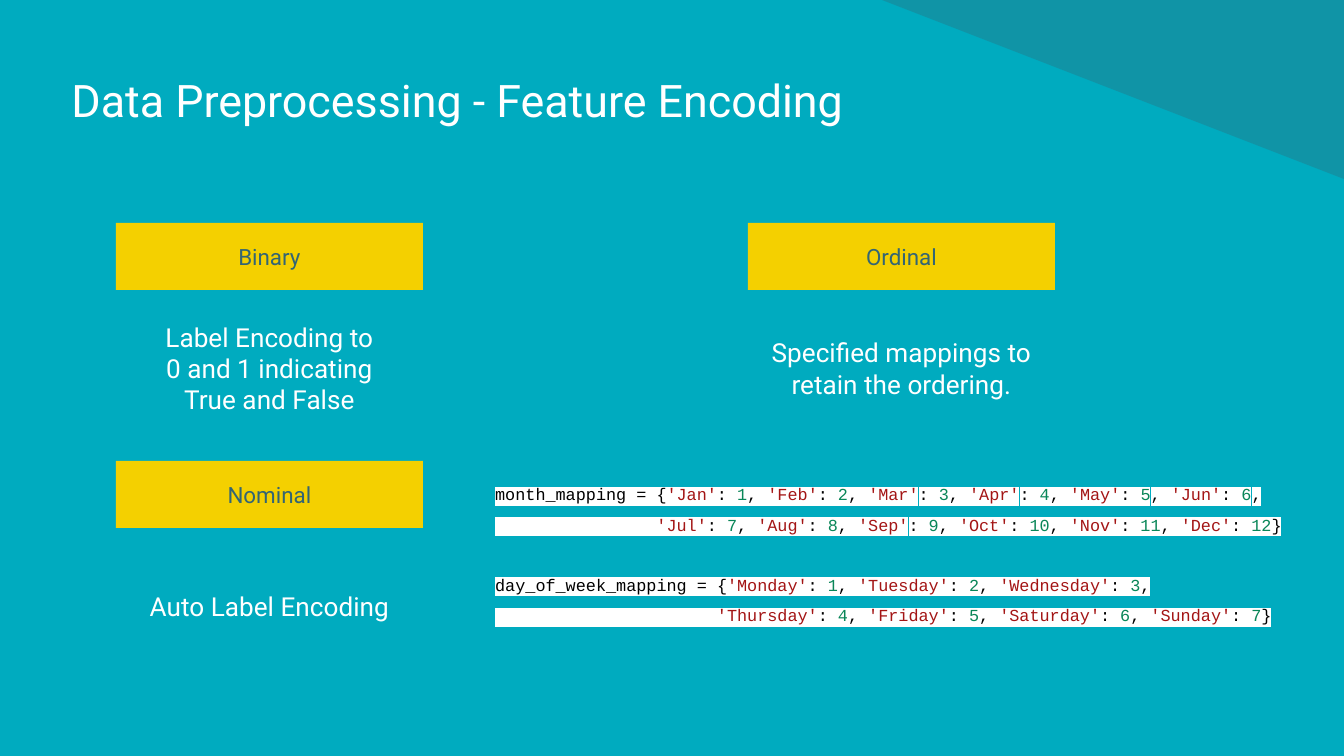
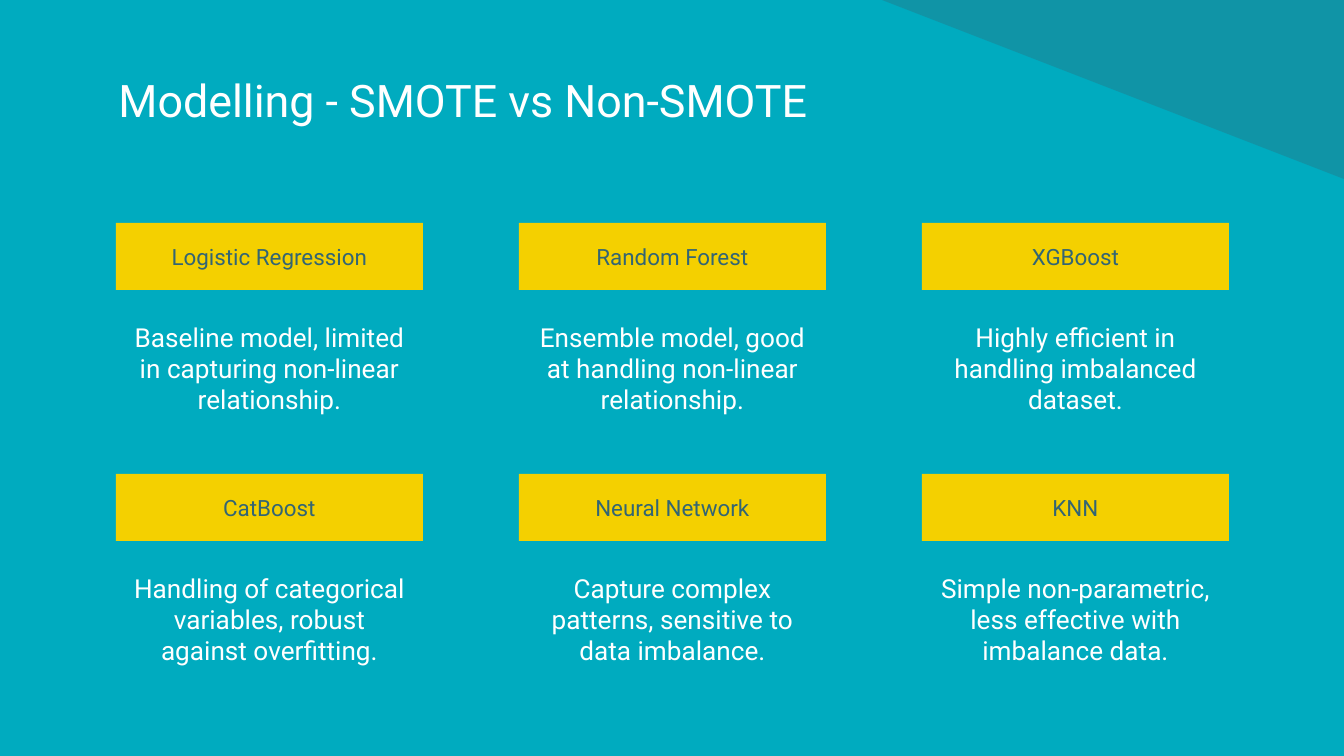
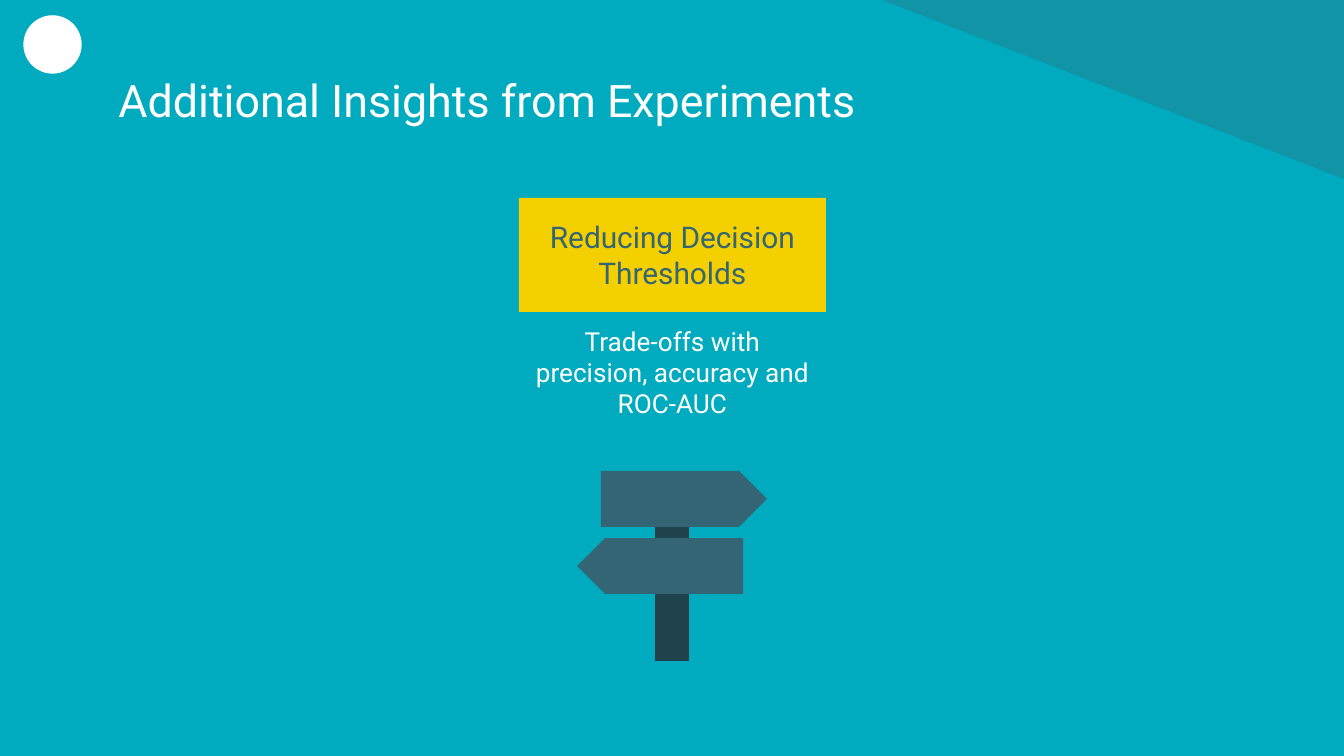
from dataclasses import dataclass

from lxml.etree import SubElement
from pptx import Presentation
from pptx.dml.color import RGBColor
from pptx.enum.shapes import MSO_SHAPE
from pptx.enum.text import MSO_ANCHOR, MSO_AUTO_SIZE, PP_ALIGN
from pptx.oxml.ns import qn
from pptx.util import Pt


@dataclass(frozen=True)
class Theme:
    font: str = "Roboto"
    code_font: str = "Courier New"
    title_size: int = 24
    lead_size: int = 16
    caption_size: int = 14
    band_size: int = 12
    code_size: int = 9
    teal: RGBColor = RGBColor.from_string("00ABBF")
    slate: RGBColor = RGBColor.from_string("336574")
    dark_slate: RGBColor = RGBColor.from_string("1F424C")
    yellow: RGBColor = RGBColor.from_string("F4D000")
    white: RGBColor = RGBColor.from_string("FFFFFF")
    code_plain: RGBColor = RGBColor.from_string("000000")
    code_string: RGBColor = RGBColor.from_string("A31515")
    code_number: RGBColor = RGBColor.from_string("098658")


theme = Theme()
PX = 914400 / 134.4  # EMU in one px
SLIDE_WIDTH, SLIDE_HEIGHT = 1344, 756

# Card grid: a yellow band with a caption centred below it
COLUMNS = range(116, 1000, 403)
MODEL_ROWS = (223, 474)
NOMINAL_ROW = 461
ORDINAL_LEFT = 748
CARD_WIDTH = 307
BAND_HEIGHT = 67
CAPTION_DROP = 100  # from the top of a band to the top of its caption
CAPTION_HEIGHT = 90


def add_box(shapes, box, color=None, kind=MSO_SHAPE.RECTANGLE):
    """Add a filled shape, or a text box where no colour is given."""
    place = [round(length * PX) for length in box]
    if color is None:
        return shapes.add_textbox(*place)
    shape = shapes.add_shape(kind, *place)
    shape.shadow.inherit = False
    shape.fill.solid()
    shape.fill.fore_color.rgb = color
    shape.line.fill.background()
    return shape


def set_text(shape, text, size, color, align=PP_ALIGN.CENTER):
    """Write vertically centred text, one paragraph per line."""
    frame = shape.text_frame
    frame.word_wrap = True
    frame.auto_size = MSO_AUTO_SIZE.NONE
    frame.vertical_anchor = MSO_ANCHOR.MIDDLE
    frame.text = text
    for paragraph in frame.paragraphs:
        paragraph.alignment = align
        paragraph.font.name = theme.font
        paragraph.font.size = Pt(size)
        paragraph.font.color.rgb = color


prs = Presentation()
prs.slide_width = round(SLIDE_WIDTH * PX)
prs.slide_height = round(SLIDE_HEIGHT * PX)
master = prs.slide_master
master.background.fill.solid()
master.background.fill.fore_color.rgb = theme.teal
title_only = prs.slide_layouts.get_by_name("Title Only")

# Slides and titles; each title has equal margins left and right
headings = [
    ("Data Preprocessing - Feature Encoding", 58),
    ("Modelling - SMOTE vs Non-SMOTE", 105),
    ("Additional Insights from Experiments", 105),
]
for heading, margin in headings:
    title = prs.slides.add_slide(title_only).shapes.title
    title.left, title.top = round(margin * PX), round(57 * PX)
    title.width = round((SLIDE_WIDTH - 2 * margin) * PX)
    title.height = round(85 * PX)
    set_text(title, heading, theme.title_size, theme.white, PP_ALIGN.LEFT)
encoding, modelling, insights = prs.slides

# Corner triangle, moved to the master so that every slide shows it
corner = add_box(encoding.shapes, (882, 0, SLIDE_WIDTH - 882, 179),
                 theme.slate, MSO_SHAPE.RIGHT_TRIANGLE)
corner.rotation = 180
corner_color = next(corner.element.iter(qn("a:srgbClr")))
SubElement(corner_color, qn("a:alpha"), val="32000")
corner.element.nvSpPr.cNvPr.set("id", "20")
master.shapes.element.append(corner.element)

# Encoding cards: left, top, feature type, treatment
encodings = [
    (COLUMNS[0], MODEL_ROWS[0], "Binary",
     "Label Encoding to\n0 and 1 indicating\nTrue and False"),
    (ORDINAL_LEFT, MODEL_ROWS[0], "Ordinal",
     "Specified mappings to retain the ordering."),
    (COLUMNS[0], NOMINAL_ROW, "Nominal", "Auto Label Encoding"),
]
cards = [(encoding, *card) for card in encodings]

# Model cards fill the grid row by row
models = [
    ("Logistic Regression",
     "Baseline model, limited in capturing non-linear relationship."),
    ("Random Forest",
     "Ensemble model, good at handling non-linear relationship."),
    ("XGBoost", "Highly efficient in handling imbalanced dataset."),
    ("CatBoost",
     "Handling of categorical variables, robust against overfitting."),
    ("Neural Network",
     "Capture complex patterns, sensitive to data imbalance."),
    ("KNN", "Simple non-parametric, less effective with imbalance data."),
]
for index, (model, remark) in enumerate(models):
    row, column = divmod(index, len(COLUMNS))
    cards.append((modelling, COLUMNS[column], MODEL_ROWS[row], model, remark))

for slide, left, top, name, remark in cards:
    band = add_box(slide.shapes, (left, top, CARD_WIDTH, BAND_HEIGHT),
                   theme.yellow)
    set_text(band, name, theme.band_size, theme.slate)
    caption = add_box(slide.shapes, (left, top + CAPTION_DROP,
                                     CARD_WIDTH, CAPTION_HEIGHT))
    set_text(caption, remark, theme.caption_size, theme.white)

# Ordinal mappings as code: opening, keys, value of the first key, ending
code_lines = [
    ("month_mapping = {", "Jan Feb Mar Apr May Jun", 1, ","),
    (" " * 16, "Jul Aug Sep Oct Nov Dec", 7, "}"),
    ("day_of_week_mapping = {", "Monday Tuesday Wednesday", 1, ","),
    (" " * 22, "Thursday Friday Saturday Sunday", 4, "}"),
]
mappings = add_box(encoding.shapes, (482, 461, 839, 169)).text_frame
mappings.word_wrap = True
mappings.margin_top = round(13 * PX)
mappings.text = "\n" * (len(code_lines) - 1)  # one paragraph per code line
mappings.paragraphs[2].space_before = Pt(16)  # gap between the two mappings

for line, (opening, keys, first, ending) in zip(mappings.paragraphs,
                                                code_lines):
    line.line_spacing = 1.5
    line.font.name = theme.code_font
    line.font.size = Pt(theme.code_size)

    tokens = [(opening, theme.code_plain)]
    for value, key in enumerate(keys.split(), first):
        tokens += [
            (f"'{key}'", theme.code_string),
            (": ", theme.code_plain),
            (str(value), theme.code_number),
            (", ", theme.code_plain),
        ]
    tokens[-1] = (ending, theme.code_plain)

    for token, color in tokens:
        run = line.add_run()
        run.text = token
        run.font.color.rgb = color
        # The run's only property so far is its fill; the highlight follows it
        highlight = SubElement(run.font.fill._xPr, qn("a:highlight"))
        SubElement(highlight, qn("a:srgbClr"), val=str(theme.white))

# Insight: a taller band with larger type
threshold = add_box(insights.shapes, (COLUMNS[1], 198, CARD_WIDTH, 114),
                    theme.yellow)
set_text(threshold, "Reducing Decision Thresholds",
         theme.lead_size, theme.slate)
trade_offs = add_box(insights.shapes,
                     (COLUMNS[1], 327, CARD_WIDTH, CAPTION_HEIGHT))
set_text(trade_offs, "Trade-offs with precision, accuracy and ROC-AUC",
         theme.caption_size, theme.white)

# White disc
disc = add_box(insights.shapes, (24, 16, 57, 57), theme.white, MSO_SHAPE.OVAL)
disc.line.color.rgb = theme.white
disc.line.width = Pt(0.75)

# Signpost: a post behind one sign to the right and one to the left
signpost = insights.shapes.add_group_shape().shapes
add_box(signpost, (655, 499, 34, 162), theme.dark_slate)
for left, top, turn in [(601, 471, 0), (577, 538, 180)]:
    sign = add_box(signpost, (left, top, 166, 56), theme.slate,
                   MSO_SHAPE.PENTAGON)
    sign.rotation = turn

prs.save("out.pptx")
